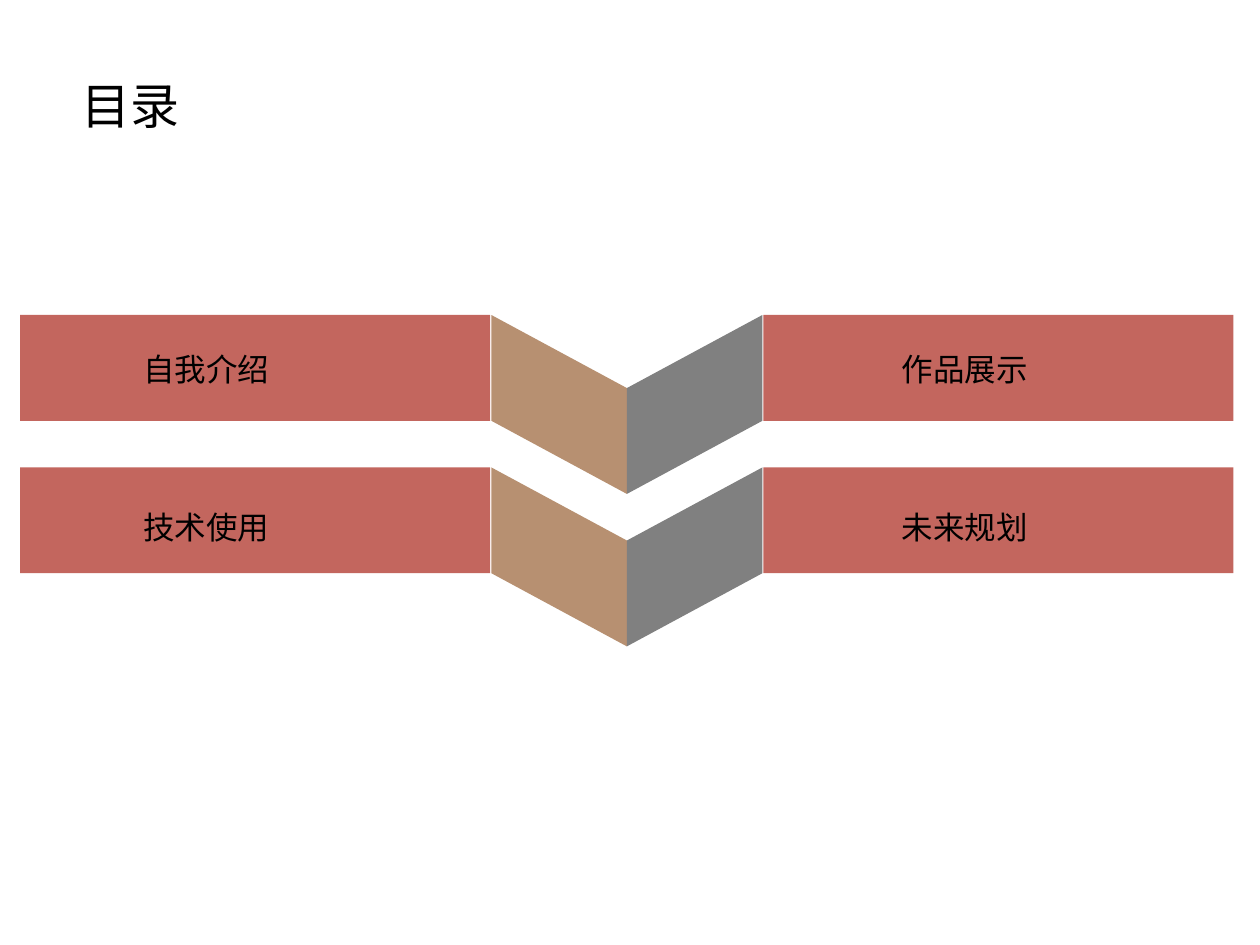
"""Build a contents slide with two folded ribbons and four topics."""
from pptx import Presentation
from pptx.dml.color import RGBColor
from pptx.enum.shapes import MSO_SHAPE as Shape
from pptx.enum.text import MSO_ANCHOR as Anchor, MSO_AUTO_SIZE as AutoSize
from pptx.util import Inches, Pt
from lxml.etree import SubElement
from pptx.oxml.ns import qn

FONT = "Noto Sans CJK SC"
RED, TAN, GRAY, BLACK = "C3665E", "B79071", "808080", "000000"

prs = Presentation()
prs.slide_width, prs.slide_height = Inches(10), Inches(7.5)
s = prs.slides.add_slide(prs.slide_layouts[6])
unit = prs.slide_width // 100


def paint(sp, color):
    sp.shadow.inherit = False
    sp.fill.solid()
    sp.fill.fore_color.rgb = RGBColor.from_string(color)
    sp.line.fill.background()


def label(text, x, y, w, h, size, wrap):
    sp = s.shapes.add_textbox(*(int(v * unit) for v in (x, y, w, h)))
    tf = sp.text_frame
    tf.text = text
    tf.word_wrap = wrap
    tf.auto_size = AutoSize.SHAPE_TO_FIT_TEXT
    tf.vertical_anchor = Anchor.TOP
    r = tf.paragraphs[0].runs[0]
    r.font.name, r.font.size = FONT, Pt(size)
    r.font.color.rgb = RGBColor.from_string(BLACK)
    SubElement(r.font._element, qn("a:ea"), typeface=FONT)


bar_w, bar_h, fold_drop, pitch = 37.3, 8.4, 5.8, 12.1
center = 49.75
bar_lefts = 1.6, 60.6
fold_edges = (39, TAN), (60.5, GRAY)

for row in range(2):
    top = 25 + row * pitch
    for edge, color in fold_edges:
        corners = [(edge, top), (center, top + fold_drop),
                   (center, top + fold_drop + bar_h), (edge, top + bar_h)]
        points = [(int(x * unit), int(y * unit)) for x, y in corners]
        fb = s.shapes.build_freeform(*points[0])
        fb.add_line_segments(points[1:], close=True)
        paint(fb.convert_to_shape(), color)
    for left in bar_lefts:
        box = (int(v * unit) for v in (left, top, bar_w, bar_h))
        paint(s.shapes.add_shape(Shape.RECTANGLE, *box), RED)

label("目录", 5.5, 5.5, 10.9, 5.7, 28, True)
columns = ("自我介绍", "技术使用"), ("作品展示", "未来规划")
for x, topics in zip((10.4, 70.6), columns):
    for row, topic in enumerate(topics):
        label(topic, x, 27.3 + row * 12.5, 12, 4, 18, False)

prs.save("out.pptx")
